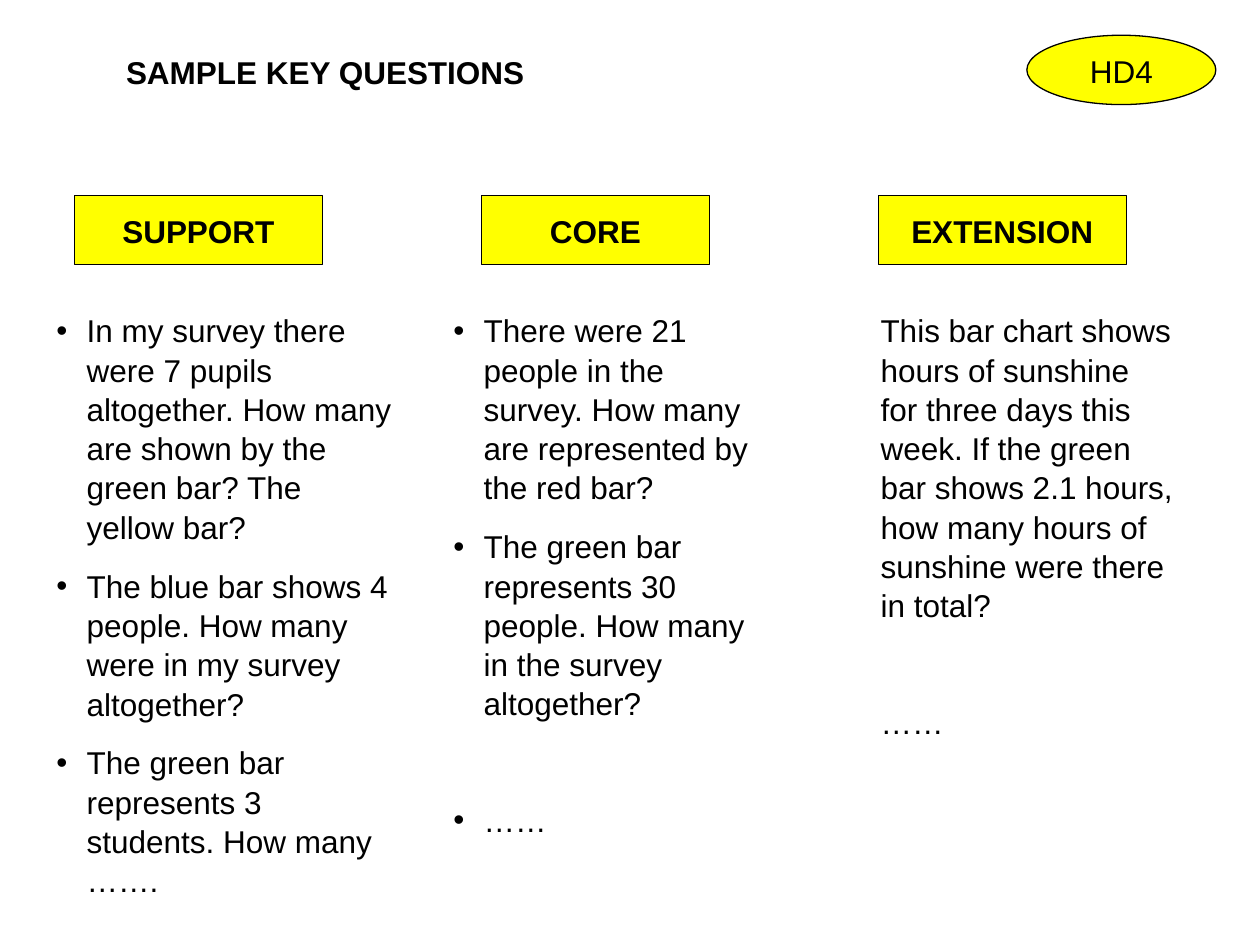
from lxml.etree import SubElement
from pptx import Presentation
from pptx.dml.color import RGBColor
from pptx.enum.shapes import MSO_SHAPE as Shape
from pptx.enum.text import MSO_ANCHOR as Anchor, MSO_AUTO_SIZE as AutoSize, PP_ALIGN as Align
from pptx.oxml.ns import qn
from pptx.util import Inches, Pt

BLACK, YELLOW = "000000", "FFFF00"
PARAGRAPH_GAP = 11.2
SECTION_GAP = 44  # one blank line between two paragraph gaps
LABEL_HEIGHT = 0.55

# heading, heading left and width, text left, width and height, bulleted, questions, closing dots
COLUMNS = [
    ("SUPPORT", 0.59, 1.97, 0.35, 2.87, 4.02, True, [
        "In my survey there were 7 pupils altogether. How many are shown by the green bar? "
        "The yellow bar?",
        "The blue bar shows 4 people. How many were in my survey altogether?",
        "The green bar represents 3 students. How many …….",
    ], None),
    ("CORE", 3.82, 1.81, 3.5, 2.68, 3.87, True, [
        "There were 21 people in the survey. How many are represented by the red bar?",
        "The green bar represents 30 people. How many in the survey altogether?",
    ], "……"),
    ("EXTENSION", 6.97, 1.97, 6.89, 2.52, 3.42, False, [
        "This bar chart shows hours of sunshine for three days this week. If the green bar "
        "shows 2.1 hours, how many hours of sunshine were there in total?",
    ], "……"),
]


def color(value):
    return RGBColor.from_string(value)


def add_bullet(para, indent=0.24):
    properties = para._p.get_or_add_pPr()
    properties.set("marL", str(Inches(indent)))
    properties.set("indent", str(-Inches(indent)))
    SubElement(properties, qn("a:buFont"), typeface="Arial")
    SubElement(properties, qn("a:buChar"), char="•")


def write(para, text, bold=False, align=Align.LEFT, before=0, bullet=False):
    if bullet:
        add_bullet(para)
    para.alignment = align
    para.line_spacing = 1.04
    para.space_before = Pt(before)
    span = para.add_run()
    span.text = text
    span.font.name = "Arial"
    span.font.size = Pt(18)
    span.font.bold = bold
    span.font.color.rgb = color(BLACK)


def add_title(page, text):
    title = page.shapes.title
    title.left, title.top = Inches(0.9), Inches(0.36)
    title.width, title.height = Inches(3.47), Inches(0.4)
    frame = title.text_frame
    frame.word_wrap = True
    frame.auto_size = AutoSize.SHAPE_TO_FIT_TEXT
    frame.vertical_anchor = Anchor.TOP
    write(frame.paragraphs[0], text, bold=True)


def add_label(page, kind, text, left, top, width, bold=False):
    label = page.shapes.add_shape(
        kind, Inches(left), Inches(top), Inches(width), Inches(LABEL_HEIGHT))
    label.shadow.inherit = False
    label.fill.solid()
    label.fill.fore_color.rgb = color(YELLOW)
    label.line.color.rgb = color(BLACK)
    label.line.width = Pt(0.75)
    frame = label.text_frame
    frame.word_wrap = False
    frame.vertical_anchor = Anchor.MIDDLE
    write(frame.paragraphs[0], text, bold=bold, align=Align.CENTER)


def add_questions(page, left, width, height, bullet, questions, closing):
    box = page.shapes.add_textbox(Inches(left), Inches(2.41), Inches(width), Inches(height))
    frame = box.text_frame
    frame.word_wrap = True
    frame.auto_size = AutoSize.SHAPE_TO_FIT_TEXT
    for index, question in enumerate(questions):
        para = frame.add_paragraph() if index else frame.paragraphs[0]
        write(para, question, before=PARAGRAPH_GAP if index else 0, bullet=bullet)
    if closing:
        write(frame.add_paragraph(), closing, before=SECTION_GAP, bullet=bullet)


def main():
    deck = Presentation()
    deck.slide_width, deck.slide_height = Inches(10), Inches(7.5)
    page = deck.slides.add_slide(deck.slide_layouts[5])
    add_title(page, "SAMPLE KEY QUESTIONS")
    add_label(page, Shape.OVAL, "HD4", 8.15, 0.28, 1.5)
    for heading, label_left, label_width, *question_block in COLUMNS:
        add_label(page, Shape.RECTANGLE, heading, label_left, 1.55, label_width, bold=True)
        add_questions(page, *question_block)
    deck.save("out.pptx")


if __name__ == "__main__":
    main()
